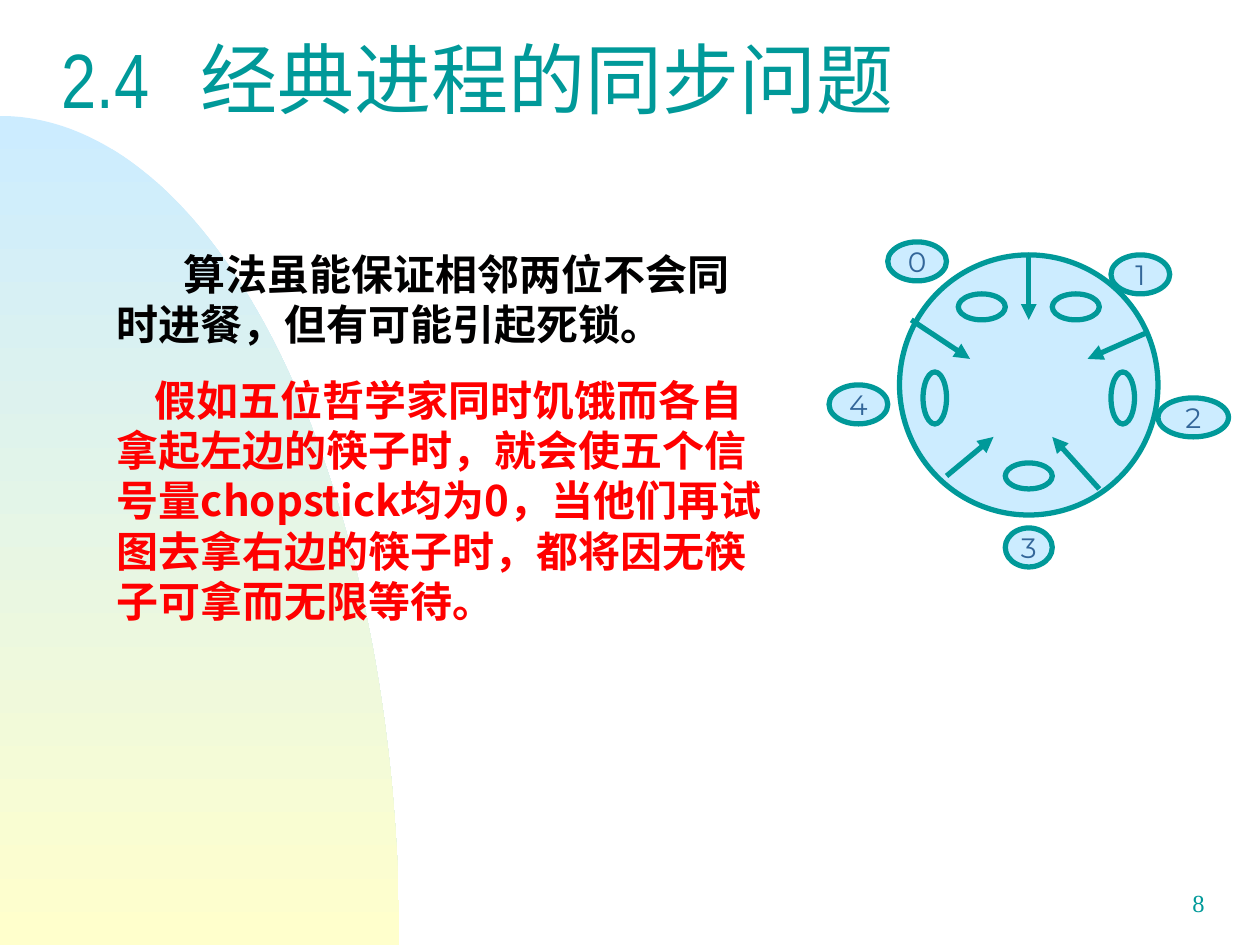
import math
import pptx
import pptx.util
import pptx.dml.color
import pptx.enum.dml
import pptx.enum.shapes
import pptx.enum.text
import pptx.oxml
import pptx.oxml.ns

TEAL, SKY, CREAM, NAVY, RED, BLACK = "009999", "CCECFF", "FFFFCC", "336699", "FF0000", "010000"
CJK = "Noto Sans CJK SC"
WIDTH, HEIGHT = 10, 7.5

TITLE = "2.4\t经典进程的同步问题"
PASSAGES = [
    {"at": (0.83, 1.92, 5.33, 0.9), "indent": 0.53, "color": BLACK,
     "runs": [("算法虽能保证", "Lato"), ("相邻两位不会同时进餐，但有可能引起死锁。", CJK)]},
    {"at": (0.83, 2.92, 5.42, 2.1), "indent": 0.3, "color": RED,
     "runs": [("假如五位哲学家同时饥饿而各自拿起左边的筷子时，就会使五个信号量chopstick均为0，"
               "当他们再试图去拿右边的筷子时，都将因无筷子可拿而无限等待。", CJK)]},
]

DIAGRAM = (6.58, 1.92, 3.17, 2.58)
COLUMNS, ROWS = 34, 25
TABLE = (6, 1, 22, 20)
CHOPSTICKS = [(17, 1, 17, 6), (7, 6, 12, 9), (10, 18, 14, 15), (23, 19, 19, 15), (27, 7, 22, 9)]
PHILOSOPHERS = {"4": (0, 11, 5, 3), "0": (5, 0, 5, 3), "3": (15, 22, 4, 3),
                "2": (28, 12, 6, 3), "1": (24, 1, 5, 3)}
BOWLS = [(8, 10, 2, 4), (24, 10, 2, 4), (15, 17, 4, 2), (11, 4, 4, 2), (19, 4, 4, 2)]


def rgb(color):
    return pptx.dml.color.RGBColor.from_string(color)


def inches(*lengths):
    return [pptx.util.Inches(length) for length in lengths]


def add_xml(parent, tag, **attributes):
    child = pptx.oxml.parse_xml(f"<a:{tag} {pptx.oxml.ns.nsdecls('a')}/>")
    for key, value in attributes.items():
        child.set(key, str(value))
    parent.append(child)
    return child


def write(paragraph, text, font, size, color, bold=False, align=None):
    run = paragraph.add_run()
    run.text = text
    run.font.size = pptx.util.Pt(size)
    run.font.bold = bold
    run.font.color.rgb = rgb(color)
    run.font.name = font
    add_xml(run.font._element, "ea", typeface=CJK)
    if align is not None:
        paragraph.alignment = align


def add_backdrop(slide):
    reach, top, steps = 3.17, 0.92, 90
    arc = [(reach * math.sin(turn), HEIGHT - (HEIGHT - top) * math.cos(turn))
           for turn in (math.pi / 2 * step / steps for step in range(steps + 1))]
    builder = slide.shapes.build_freeform(*inches(*arc[0]))
    builder.add_line_segments([inches(*point) for point in arc[1:] + [(0, HEIGHT)]])
    backdrop = builder.convert_to_shape()
    backdrop.shadow.inherit = False
    backdrop.line.fill.background()
    backdrop.fill.gradient()
    backdrop.fill.gradient_angle = 270
    for stop, color, position in zip(backdrop.fill.gradient_stops, (SKY, CREAM), (0, 1)):
        stop.color.rgb = rgb(color)
        stop.position = position


def add_title(slide):
    title = slide.shapes.title
    title.left, title.top, title.width, title.height = inches(0.39, 0.17, 9.44, 1.08)
    title.text_frame.vertical_anchor = pptx.enum.text.MSO_ANCHOR.MIDDLE
    heading = title.text_frame.paragraphs[0]
    heading.line_spacing = 0.7
    heading.alignment = pptx.enum.text.PP_ALIGN.LEFT
    stops = add_xml(heading._p.get_or_add_pPr(), "tabLst")
    add_xml(stops, "tab", pos=pptx.util.Inches(1.1), algn="l")
    write(heading, TITLE, "Arial Narrow", 44, TEAL)


def add_passage(slide, passage):
    frame = slide.shapes.add_textbox(*inches(*passage["at"])).text_frame
    frame.word_wrap = True
    paragraph = frame.paragraphs[0]
    paragraph._p.get_or_add_pPr().set("indent", str(pptx.util.Inches(passage["indent"])))
    for text, font in passage["runs"]:
        write(paragraph, text, font, 24, passage["color"], bold=True)


def add_page_number(slide):
    frame = slide.shapes.add_textbox(*inches(7.58, 7, 2.08, 0.5)).text_frame
    frame.word_wrap = True
    write(frame.paragraphs[0], "8", "Times New Roman", 14, TEAL,
          align=pptx.enum.text.PP_ALIGN.RIGHT)


def cells(column, row):
    left, top, width, height = DIAGRAM
    return width * column / COLUMNS, height * row / ROWS


def point(column, row):
    across, down = cells(column, row)
    return inches(DIAGRAM[0] + across, DIAGRAM[1] + down)


def outline(line):
    line.color.rgb = rgb(TEAL)
    line.width = pptx.util.Pt(3)


def add_oval(group, column, row, width, height, label=None):
    oval = group.shapes.add_shape(pptx.enum.shapes.MSO_SHAPE.OVAL, *point(column, row),
                                  *inches(*cells(width, height)))
    oval.shadow.inherit = False
    oval.fill.solid()
    oval.fill.fore_color.rgb = rgb(SKY)
    outline(oval.line)
    if label:
        oval.text_frame.word_wrap = False
        oval.text_frame.vertical_anchor = pptx.enum.text.MSO_ANCHOR.MIDDLE
        write(oval.text_frame.paragraphs[0], label, "Montserrat", 16, NAVY,
              align=pptx.enum.text.PP_ALIGN.CENTER)


def add_chopstick(group, start_column, start_row, end_column, end_row):
    chopstick = group.shapes.add_connector(pptx.enum.shapes.MSO_CONNECTOR.STRAIGHT,
                                           *point(start_column, start_row),
                                           *point(end_column, end_row))
    outline(chopstick.line)
    add_xml(chopstick.line._get_or_add_ln(), "tailEnd", type="triangle")
    add_xml(chopstick._element.spPr, "effectLst")


def add_diagram(slide):
    group = slide.shapes.add_group_shape()
    add_oval(group, *TABLE)
    for chopstick in CHOPSTICKS:
        add_chopstick(group, *chopstick)
    for label, seat in PHILOSOPHERS.items():
        add_oval(group, *seat, label=label)
    for bowl in BOWLS:
        add_oval(group, *bowl)


def main():
    deck = pptx.Presentation()
    deck.slide_width, deck.slide_height = inches(WIDTH, HEIGHT)
    slide = deck.slides.add_slide(deck.slide_layouts[5])
    add_backdrop(slide)
    add_page_number(slide)
    add_title(slide)
    for passage in PASSAGES:
        add_passage(slide, passage)
    add_diagram(slide)
    deck.save("out.pptx")


if __name__ == "__main__":
    main()
